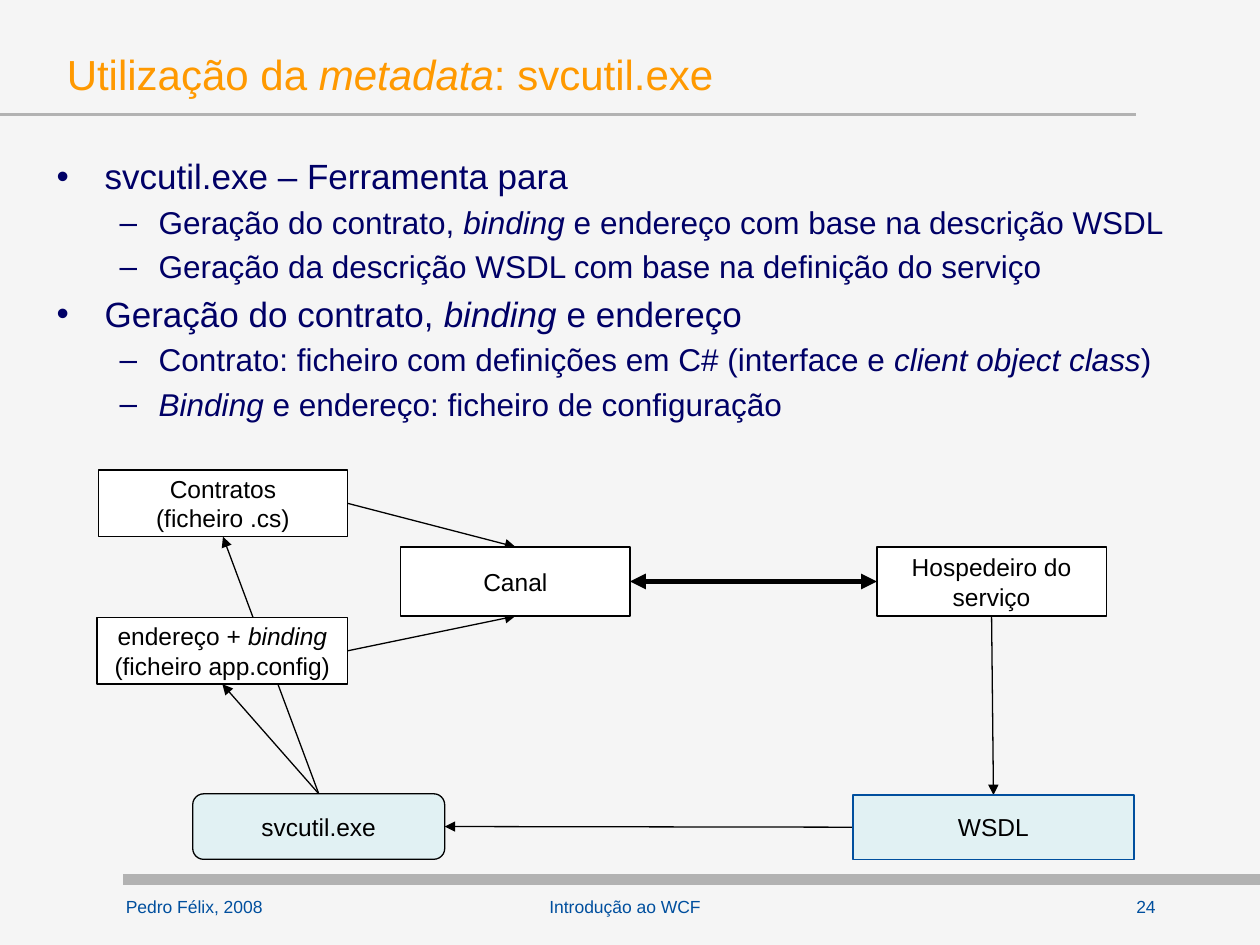
"""Build the svcutil.exe metadata slide with its tool diagram."""
from dataclasses import dataclass

from lxml import etree
from pptx import Presentation
from pptx.dml.color import RGBColor
from pptx.enum.shapes import MSO_CONNECTOR, MSO_SHAPE
from pptx.enum.text import MSO_ANCHOR, MSO_AUTO_SIZE, PP_ALIGN
from pptx.oxml.ns import qn
from pptx.util import Inches, Pt

RECT, ROUNDED = MSO_SHAPE.RECTANGLE, MSO_SHAPE.ROUNDED_RECTANGLE
STRAIGHT = MSO_CONNECTOR.STRAIGHT
LEFT, CENTER = PP_ALIGN.LEFT, PP_ALIGN.CENTER
TOP, MIDDLE = MSO_ANCHOR.TOP, MSO_ANCHOR.MIDDLE
NO_FIT = MSO_AUTO_SIZE.NONE
SITE_TOP, SITE_LEFT, SITE_BOTTOM, SITE_RIGHT = range(4)
FONT = "Arial"
COLORS = {
    "background": "F5F5F5", "title": "FF9900", "body": "000066",
    "footer": "004F9E", "rule": "B2B2B2", "black": "000000",
    "white": "FFFFFF", "tint": "E1F1F3",
}


@dataclass
class Node:
    name: str
    lines: list[str]
    at: tuple[float, float, float, float]
    fill: str = "white"
    line: str = "black"
    kind: int = RECT


@dataclass
class Link:
    start: str
    start_site: int
    end: str
    end_site: int
    width: float = 0.75
    both: bool = False


NODES = [
    Node("wsdl", ["WSDL"], (6.77, 6.31, 2.23, 0.51), "tint", "footer"),
    Node("host", ["Hospedeiro do serviço"], (6.96, 4.34, 1.82, 0.55)),
    Node("tool", ["svcutil.exe"], (1.53, 6.3, 2, 0.52), "tint", kind=ROUNDED),
    Node("channel", ["Canal"], (3.18, 4.34, 1.82, 0.55)),
    Node("contracts", ["Contratos", "(ficheiro .cs)"], (0.78, 3.73, 1.98, 0.53)),
    Node("config", ["endereço + *binding*", "(ficheiro app.config)"],
         (0.77, 4.9, 1.99, 0.53)),
]
LINKS = [
    Link("host", SITE_BOTTOM, "wsdl", SITE_TOP),
    Link("wsdl", SITE_LEFT, "tool", SITE_RIGHT),
    Link("tool", SITE_TOP, "config", SITE_BOTTOM),
    Link("tool", SITE_TOP, "contracts", SITE_BOTTOM),
    Link("contracts", SITE_RIGHT, "channel", SITE_TOP),
    Link("config", SITE_RIGHT, "channel", SITE_BOTTOM),
    Link("channel", SITE_RIGHT, "host", SITE_LEFT, 3, True),
]
BULLETS = [
    (0, "svcutil.exe – Ferramenta para"),
    (1, "Geração do contrato, *binding* e endereço com base na descrição WSDL"),
    (1, "Geração da descrição WSDL com base na definição do serviço"),
    (0, "Geração do contrato, *binding* e endereço"),
    (1, "Contrato: ficheiro com definições em C# (interface e *client object class*)"),
    (1, "*Binding* e endereço: ficheiro de configuração"),
]
LEVELS = [
    {"size": 20, "margin": 0.38, "hang": 0.38, "char": "•"},
    {"size": 18, "margin": 0.81, "hang": 0.31, "char": "–"},
]
FOOTERS = [
    ("Pedro Félix, 2008", (0.9, 7.06, 1.31, 0.32), LEFT),
    ("24", (8.7, 7.06, 0.79, 0.32), CENTER),
    ("Introdução ao WCF", (2.48, 7.06, 4.96, 0.29), CENTER),
]
RULES = [((0.98, 6.98), (10, 6.98), 6), ((0, 0.91), (9.02, 0.91), 1.5)]


def rgb(name: str) -> RGBColor:
    """Return the named colour."""
    return RGBColor.from_string(COLORS[name])


def place(sp, at: tuple) -> None:
    """Move and size a shape in inches."""
    for attr, value in zip(("left", "top", "width", "height"), at):
        setattr(sp, attr, Inches(value))


def format_frame(tf, anchor) -> None:
    """Apply the shared text frame settings."""
    values = {"word_wrap": True, "auto_size": NO_FIT, "vertical_anchor": anchor}
    for attr, value in values.items():
        setattr(tf, attr, value)


def write(p, text: str, size: float, color: str, align=LEFT) -> None:
    """Fill a paragraph, with asterisks around italic words."""
    p.alignment = align
    for i, part in enumerate(text.split("*")):
        if part:
            r = p.add_run()
            r.text = part
            font = {"name": FONT, "size": Pt(size), "italic": i % 2 == 1}
            for attr, value in font.items():
                setattr(r.font, attr, value)
            r.font.color.rgb = rgb(color)


def paragraphs(tf, count: int) -> list:
    """Return the given number of paragraphs of an empty frame."""
    return [tf.paragraphs[0]] + [tf.add_paragraph() for _ in range(count - 1)]


def add_line(s, start: tuple, end: tuple, width: float, color: str):
    """Draw a straight line without shadow."""
    c = s.shapes.add_connector(STRAIGHT, *map(Inches, start + end))
    c.line.color.rgb = rgb(color)
    c.line.width = Pt(width)
    etree.SubElement(c.element.spPr, qn("a:effectLst"))
    return c


def add_node(s, node: Node):
    """Draw a labelled box."""
    sp = s.shapes.add_shape(node.kind, *map(Inches, node.at))
    sp.shadow.inherit = False
    sp.fill.solid()
    sp.fill.fore_color.rgb = rgb(node.fill)
    sp.line.color.rgb = rgb(node.line)
    sp.line.width = Pt(0.75)
    format_frame(sp.text_frame, MIDDLE)
    for p, text in zip(paragraphs(sp.text_frame, len(node.lines)), node.lines):
        write(p, text, 14, "black", CENTER)
    return sp


def add_link(s, link: Link, boxes: dict) -> None:
    """Join two boxes with an arrow that lies behind them."""
    c = add_line(s, (0, 0), (0, 0), link.width, "black")
    c.begin_connect(boxes[link.start], link.start_site)
    c.end_connect(boxes[link.end], link.end_site)
    ln = c.line._get_or_add_ln()
    for tag in ["a:headEnd", "a:tailEnd"] if link.both else ["a:tailEnd"]:
        etree.SubElement(ln, qn(tag), type="triangle")
    c.element.getparent().insert(2, c.element)


def add_bullets(tf) -> None:
    """Write the two-level list."""
    for p, (level, text) in zip(paragraphs(tf, len(BULLETS)), BULLETS):
        style = LEVELS[level]
        p.level = level
        write(p, text, style["size"], "body")
        pPr = p._p.get_or_add_pPr()
        pPr.set("marL", str(Inches(style["margin"])))
        pPr.set("indent", str(-Inches(style["hang"])))
        etree.SubElement(pPr, qn("a:buChar"), char=style["char"])


def main() -> None:
    """Build and save the slide."""
    prs = Presentation()
    prs.slide_width, prs.slide_height = Inches(10), Inches(7.5)
    s = prs.slides.add_slide(prs.slide_layouts[1])
    s.background.fill.solid()
    s.background.fill.fore_color.rgb = rgb("background")

    title, body = s.placeholders
    place(title, (0.43, 0.28, 8.98, 0.61))
    format_frame(title.text_frame, MIDDLE)
    write(title.text_frame.paragraphs[0],
          "Utilização da *metadata*: svcutil.exe", 24, "title")
    place(body, (0.35, 1.18, 9.15, 2.21))
    format_frame(body.text_frame, TOP)
    add_bullets(body.text_frame)

    for start, end, width in RULES:
        add_line(s, start, end, width, "rule")
    for text, at, align in FOOTERS:
        tf = s.shapes.add_textbox(*map(Inches, at)).text_frame
        format_frame(tf, TOP)
        write(tf.paragraphs[0], text, 10, "footer", align)
    boxes = {node.name: add_node(s, node) for node in NODES}
    for link in LINKS:
        add_link(s, link, boxes)
    prs.save("out.pptx")


if __name__ == "__main__":
    main()
